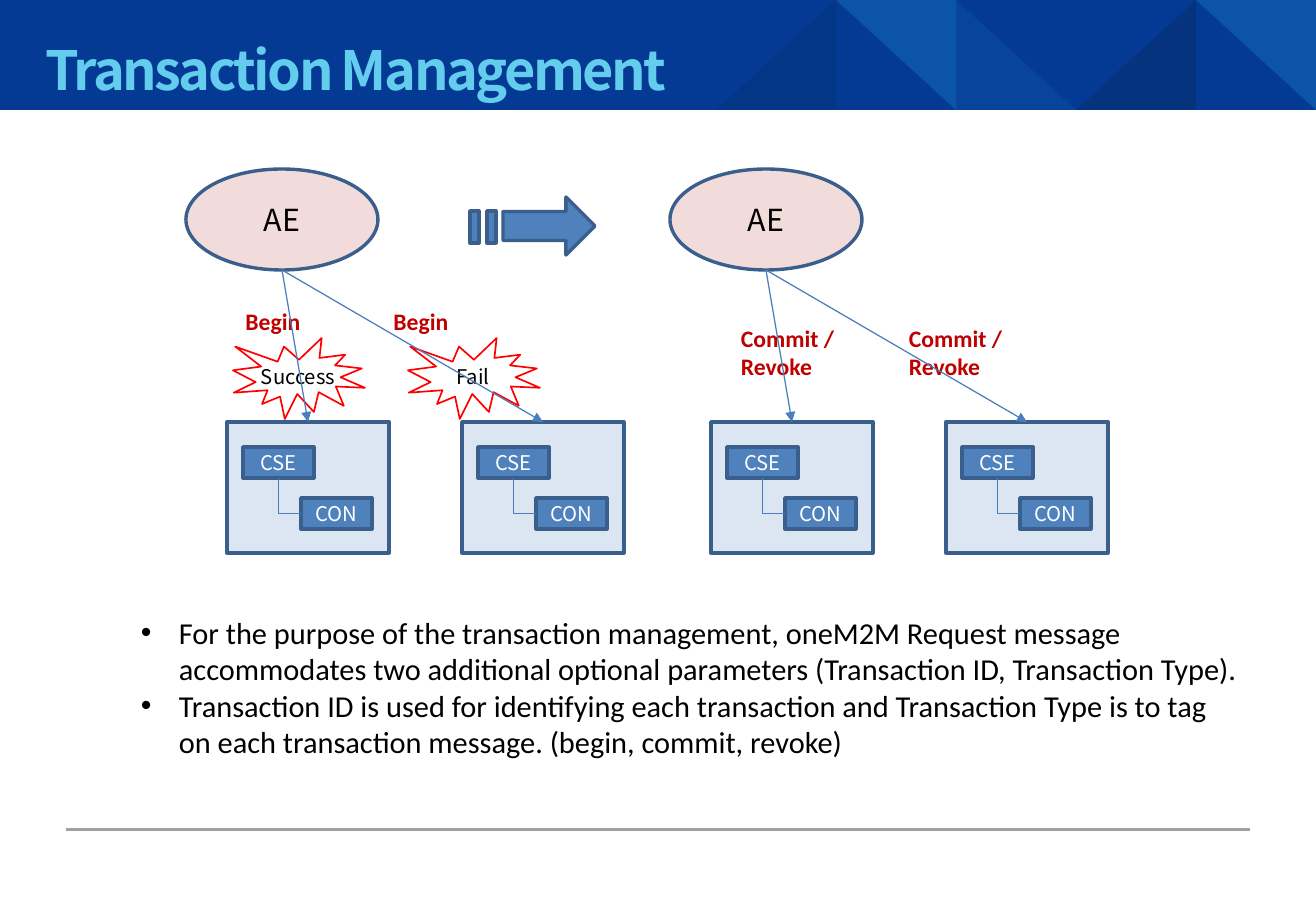
from lxml import etree
from pptx import Presentation
from pptx.dml.color import RGBColor
from pptx.enum.shapes import MSO_CONNECTOR, MSO_SHAPE
from pptx.enum.text import MSO_ANCHOR, PP_ALIGN
from pptx.oxml.ns import qn
from pptx.util import Pt

RECTANGLE, OVAL = MSO_SHAPE.RECTANGLE, MSO_SHAPE.OVAL
TRIANGLE, RIGHT_ARROW = MSO_SHAPE.ISOSCELES_TRIANGLE, MSO_SHAPE.RIGHT_ARROW
BURST = MSO_SHAPE.EXPLOSION1
STRAIGHT, ELBOW = MSO_CONNECTOR.STRAIGHT, MSO_CONNECTOR.ELBOW
LEFT, CENTER = PP_ALIGN.LEFT, PP_ALIGN.CENTER
TOP, MIDDLE = MSO_ANCHOR.TOP, MSO_ANCHOR.MIDDLE
SANS, BODY = "Noto Sans CJK KR", "Calibri"
EMU_PER_PX = 7526
SLIDE_WIDTH, SLIDE_HEIGHT = 1316, 911
COLORS = {
    "band": "043A94", "cyan": "2EBDE9", "navy": "0A1828", "azure": "1B70BD",
    "title": "64CDEE", "rule": "A0A0A3", "entity": "F2DCDB", "server": "DCE6F2",
    "node": "4F81BD", "outline": "3A5F8C", "link": "4B7EBC", "label": "C00000",
    "burst": "FF0000", "black": "000000", "white": "FFFFFF",
}


def px(length):
    return int(length * EMU_PER_PX)


def color(name):
    return RGBColor.from_string(COLORS[name])


def write(shape, lines, size, name, font=SANS, bold=False, align=CENTER,
          anchor=MIDDLE, wrap=True):
    frame = shape.text_frame
    frame.text = "\n".join(lines)
    frame.word_wrap = wrap
    frame.vertical_anchor = anchor
    for paragraph in frame.paragraphs:
        paragraph.alignment = align
        paragraph.font.name = font
        paragraph.font.size = Pt(size)
        paragraph.font.bold = bold
        paragraph.font.color.rgb = color(name)


def add_box(shapes, kind, box, fill=None, line=None, weight=2):
    shape = shapes.add_shape(kind, *map(px, box))
    shape.shadow.inherit = False
    if fill:
        shape.fill.solid()
        shape.fill.fore_color.rgb = color(fill)
    else:
        shape.fill.background()
    if line:
        shape.line.color.rgb = color(line)
        shape.line.width = Pt(weight)
    else:
        shape.line.fill.background()
    return shape


def add_line(shapes, kind, ends, name, weight):
    connector = shapes.add_connector(kind, *map(px, ends))
    connector.line.color.rgb = color(name)
    connector.line.width = Pt(weight)
    etree.SubElement(connector.element.spPr, qn("a:effectLst"))
    return connector


def add_text(shapes, box, lines, size, name, **options):
    text_box = shapes.add_textbox(*map(px, box))
    write(text_box, lines, size, name, font=BODY, anchor=TOP, **options)
    return text_box


def add_header(slide, box):
    left, top, width, height = box
    add_box(slide.shapes, RECTANGLE, box, "band")
    # Row of right-angled triangles ending at the right edge
    facets = [("navy", 10, 1, 0), ("cyan", 20, 0, 180), ("azure", 20, 0, 0),
              ("navy", 20, 1, 0), ("cyan", 20, 0, 180)]
    side = 120
    start = left + width - side * len(facets)
    for index, (name, opacity, apex, rotation) in enumerate(facets):
        facet = add_box(slide.shapes, TRIANGLE,
                        (start + index * side, top, side, height), name)
        facet.adjustments[0] = apex
        facet.rotation = rotation
        rgb = facet.element.spPr.find(".//" + qn("a:srgbClr"))
        etree.SubElement(rgb, qn("a:alpha")).set("val", str(opacity * 1000))

    # Title, lifted above the band
    title = slide.shapes.title
    title.left, title.top, title.width, title.height = map(
        px, (left + 33, top + 30, 1152, 78))
    write(title, ["Transaction Management"], 32, "title", bold=True, align=LEFT)
    title.text_frame.margin_top = title.text_frame.margin_bottom = 0
    title.text_frame.paragraphs[0].runs[0].font._element.set("spc", "-150")
    title.element.getparent().append(title.element)


def add_server(slide, box):
    left, top = box[:2]
    server = add_box(slide.shapes, RECTANGLE, box, "server", "outline")
    tree = slide.shapes.add_group_shape().shapes
    node_width, node_height = 71, 31
    cse_left, cse_top = left + 16, top + 25
    con_left, con_top = left + 74, top + 76
    for text, x, y in (("CSE", cse_left, cse_top), ("CON", con_left, con_top)):
        node = add_box(tree, RECTANGLE, (x, y, node_width, node_height),
                       "node", "outline")
        write(node, [text], 12, "white")

    # Elbow from the bottom of CSE to the left of CON, as a turned box
    x1, y1 = cse_left + node_width / 2, cse_top + node_height
    x2, y2 = con_left, con_top + node_height / 2
    middle_x, middle_y = (x1 + x2) / 2, (y1 + y2) / 2
    half_width, half_height = (y2 - y1) / 2, (x2 - x1) / 2
    elbow = add_line(tree, ELBOW,
                     (middle_x - half_width, middle_y - half_height,
                      middle_x + half_width, middle_y + half_height), "link", 1)
    properties = elbow.element.spPr
    properties.find(qn("a:prstGeom")).set("prst", "bentConnector2")
    transform = properties.find(qn("a:xfrm"))
    transform.set("rot", "16200000")
    transform.set("flipH", "1")
    return server


def add_scene(slide, box, label, label_boxes, align, results=()):
    left, top = box[:2]
    shapes = slide.shapes
    entity_width, entity_height = 192, 101
    entity = add_box(shapes, OVAL, (left, top, entity_width, entity_height),
                     "entity", "outline")
    write(entity, ["AE"], 18, "black")
    servers = [add_server(slide, (left + 41 + index * 235, top + 253, 162, 131))
               for index in range(2)]

    # Message labels and outcomes
    for x, y, width, height in label_boxes:
        add_text(shapes, (left + x, top + y, width, height), [label], 14,
                 "label", bold=True, align=align)
    for index, result in enumerate(results):
        burst = add_box(shapes, BURST, (left + 47 + index * 175, top + 169, 132, 81),
                        line="burst", weight=1)
        write(burst, [result], 12, "black", wrap=False)

    # Arrows from the entity to its servers
    start = (left + entity_width / 2, top + entity_height)
    for server in servers:
        arrow = add_line(shapes, STRAIGHT, start + start, "link", 0.75)
        arrow.end_connect(server, 0)
        line = arrow.line._get_or_add_ln()
        etree.SubElement(line, qn("a:tailEnd")).set("type", "triangle")


def add_striped_arrow(slide, box):
    left, top, width, height = box
    for offset in (0, 17):
        add_box(slide.shapes, RECTANGLE, (left + offset, top + 14, 9, 32),
                "node", "outline")
    add_box(slide.shapes, RIGHT_ARROW, (left + 33, top, width - 33, height),
            "node", "outline")


def add_notes_list(slide, box):
    text_box = add_text(slide.shapes, box, [
        "For the purpose of the transaction management, oneM2M Request message "
        "accommodates two additional optional parameters (Transaction ID, "
        "Transaction Type).",
        "Transaction ID is used for identifying each transaction and Transaction "
        "Type is to tag on each transaction message. (begin, commit, revoke)",
    ], 18, "black", align=LEFT)
    for paragraph in text_box.text_frame.paragraphs:
        properties = paragraph._p.get_or_add_pPr()
        properties.set("marL", str(px(38)))
        properties.set("indent", str(px(-38)))
        bullet_font = etree.Element(qn("a:buFont"), typeface="Arial")
        bullet = etree.Element(qn("a:buChar"), char="•")
        properties.insert(0, bullet_font)
        properties.insert(1, bullet)


def main():
    presentation = Presentation()
    presentation.slide_width, presentation.slide_height = px(SLIDE_WIDTH), px(SLIDE_HEIGHT)
    slide = presentation.slides.add_slide(presentation.slide_layouts[5])
    add_header(slide, (0, 0, SLIDE_WIDTH, 110))
    add_line(slide.shapes, STRAIGHT, (66, 830, 1250, 830), "rule", 1.75)
    add_scene(slide, (186, 169, 438, 384), "Begin",
              [(11, 132, 152, 41), (159, 132, 152, 41)], CENTER, ("Success", "Fail"))
    add_scene(slide, (670, 169, 438, 384), "Commit / Revoke",
              [(59, 149, 152, 69), (227, 149, 152, 69)], LEFT)
    add_striped_arrow(slide, (470, 197, 125, 58))
    add_notes_list(slide, (129, 608, 1123, 159))
    presentation.save("out.pptx")


if __name__ == "__main__":
    main()
